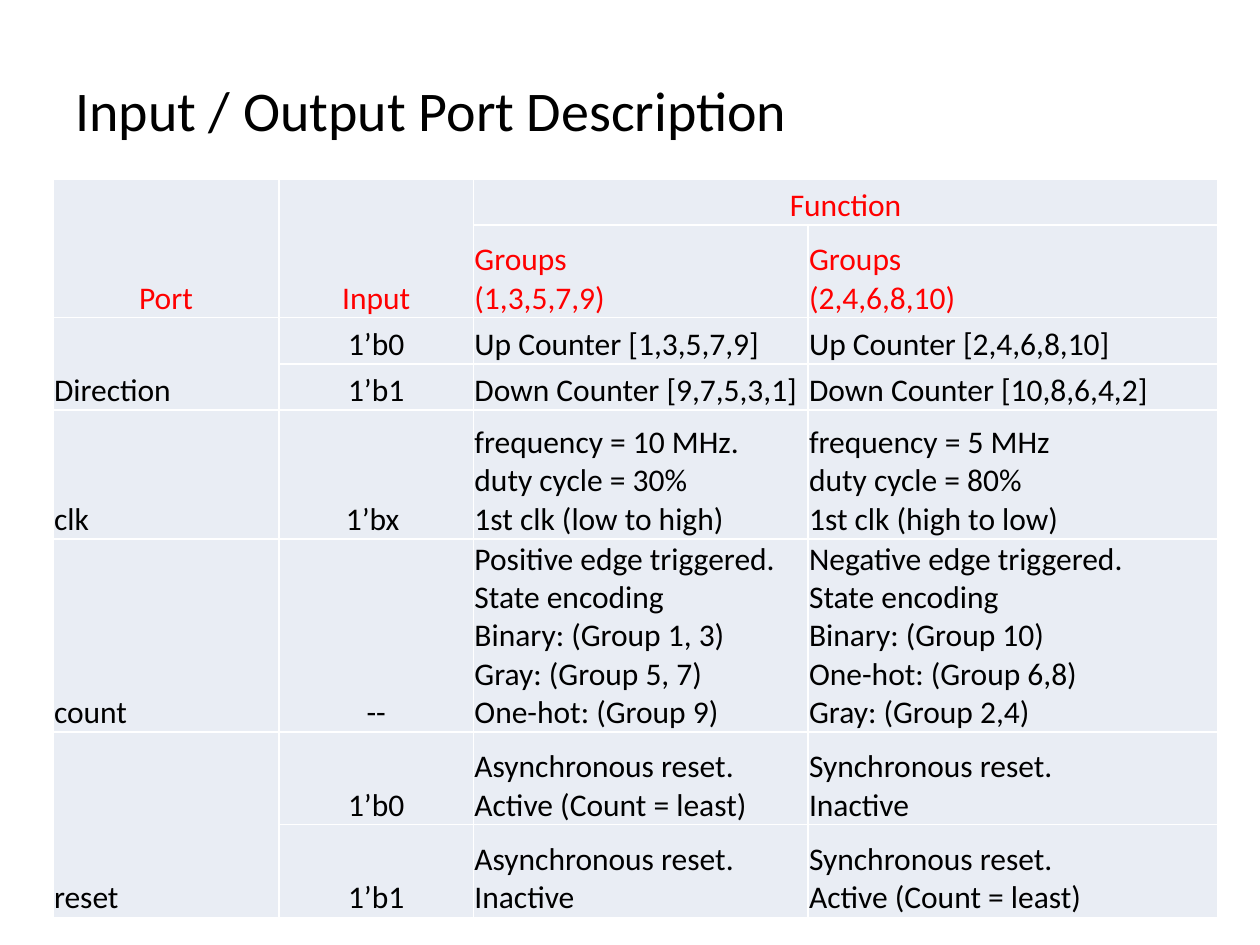
from lxml.etree import SubElement
from pptx import Presentation
from pptx.dml.color import RGBColor
from pptx.enum.text import MSO_ANCHOR as Anchor, PP_ALIGN as Align
from pptx.oxml.ns import qn
from pptx.util import Pt

BLACK, RED, WHITE, PALE = "000000", "FF0000", "FFFFFF", "E9EDF4"


def add_text(para, text, size, color):
    """Add one run per line, with line breaks between them."""
    for number, line in enumerate(text.split("\n")):
        if number:
            para.add_line_break()
        span = para.add_run()
        span.text = line
        span.font.name = "Calibri"
        span.font.size = Pt(size)
        span.font.color.rgb = RGBColor.from_string(color)


def add_borders(cell):
    properties = cell._tc.get_or_add_tcPr()
    for side in ("lnL", "lnR", "lnT", "lnB"):
        line = SubElement(properties, qn(f"a:{side}"), w=str(Pt(1)))
        fill = SubElement(line, qn("a:solidFill"))
        SubElement(fill, qn("a:srgbClr"), val=WHITE)


deck = Presentation()
deck.slide_width, deck.slide_height = Pt(720), Pt(540)
page = deck.slides.add_slide(deck.slide_layouts[6])

title = page.shapes.add_textbox(Pt(36), Pt(39.6), Pt(648), Pt(50)).text_frame
title.word_wrap = True
add_text(title.paragraphs[0], "Input / Output Port Description", 32, BLACK)

# A cell is a list of paragraphs; None is covered by a merged neighbour.
rows = [
    [["Port"], ["Input"], ["Function"], None],
    [None, None, ["Groups\n(1,3,5,7,9)"], ["Groups\n(2,4,6,8,10)"]],
    [["Direction"], ["1’b0"], ["Up Counter [1,3,5,7,9]"], ["Up Counter [2,4,6,8,10]"]],
    [None, ["1’b1"], ["Down Counter [9,7,5,3,1]"], ["Down Counter [10,8,6,4,2]"]],
    [["clk"], ["1’bx "],
     ["frequency = 10 MHz.\nduty cycle = 30%\n1st clk (low to high)"],
     ["frequency = 5 MHz\nduty cycle = 80%\n1st clk (high to low)"]],
    [["count"], ["--"],
     ["Positive edge triggered.", "State encoding", "Binary: (Group 1, 3)",
      "Gray: (Group 5, 7)", "One-hot: (Group 9)"],
     ["Negative edge triggered.", "State encoding", "Binary: (Group 10)",
      "One-hot: (Group 6,8)", "Gray: (Group 2,4)"]],
    [["reset"], ["1’b0"], ["Asynchronous reset.\nActive (Count = least)"],
     ["Synchronous reset.\nInactive"]],
    [None, ["1’b1"], ["Asynchronous reset.\nInactive"],
     ["Synchronous reset.\nActive (Count = least)"]],
]
column_widths = [129.3, 111, 191.2, 234.3]
row_heights = [26.4, 53, 26.4, 26.4, 73.6, 110.3, 53, 53]
merges = [((0, 0), (1, 0)), ((0, 1), (1, 1)), ((0, 2), (0, 3)),
          ((2, 0), (3, 0)), ((6, 0), (7, 0))]

table = page.shapes.add_table(len(rows), len(column_widths), Pt(30.2), Pt(102.2),
                              Pt(sum(column_widths)), Pt(sum(row_heights))).table
table.first_row = table.horz_banding = False
for column, width in zip(table.columns, column_widths):
    column.width = Pt(width)
for row, height in zip(table.rows, row_heights):
    row.height = Pt(height)
for first, last in merges:
    table.cell(*first).merge(table.cell(*last))

for row_index, row in enumerate(rows):
    for column_index, paragraphs in enumerate(row):
        cell = table.cell(row_index, column_index)
        cell.margin_left = cell.margin_right = cell.margin_top = Pt(0.7)
        cell.margin_bottom = Pt(0)
        cell.vertical_anchor = Anchor.BOTTOM
        add_borders(cell)
        cell.fill.solid()
        cell.fill.fore_color.rgb = RGBColor.from_string(PALE)
        centered = row_index == 0 or column_index == 1
        for number, text in enumerate(paragraphs or []):
            frame = cell.text_frame
            para = frame.add_paragraph() if number else frame.paragraphs[0]
            para.alignment = Align.CENTER if centered else Align.LEFT
            add_text(para, text, 18, RED if row_index < 2 else BLACK)

deck.save("out.pptx")
